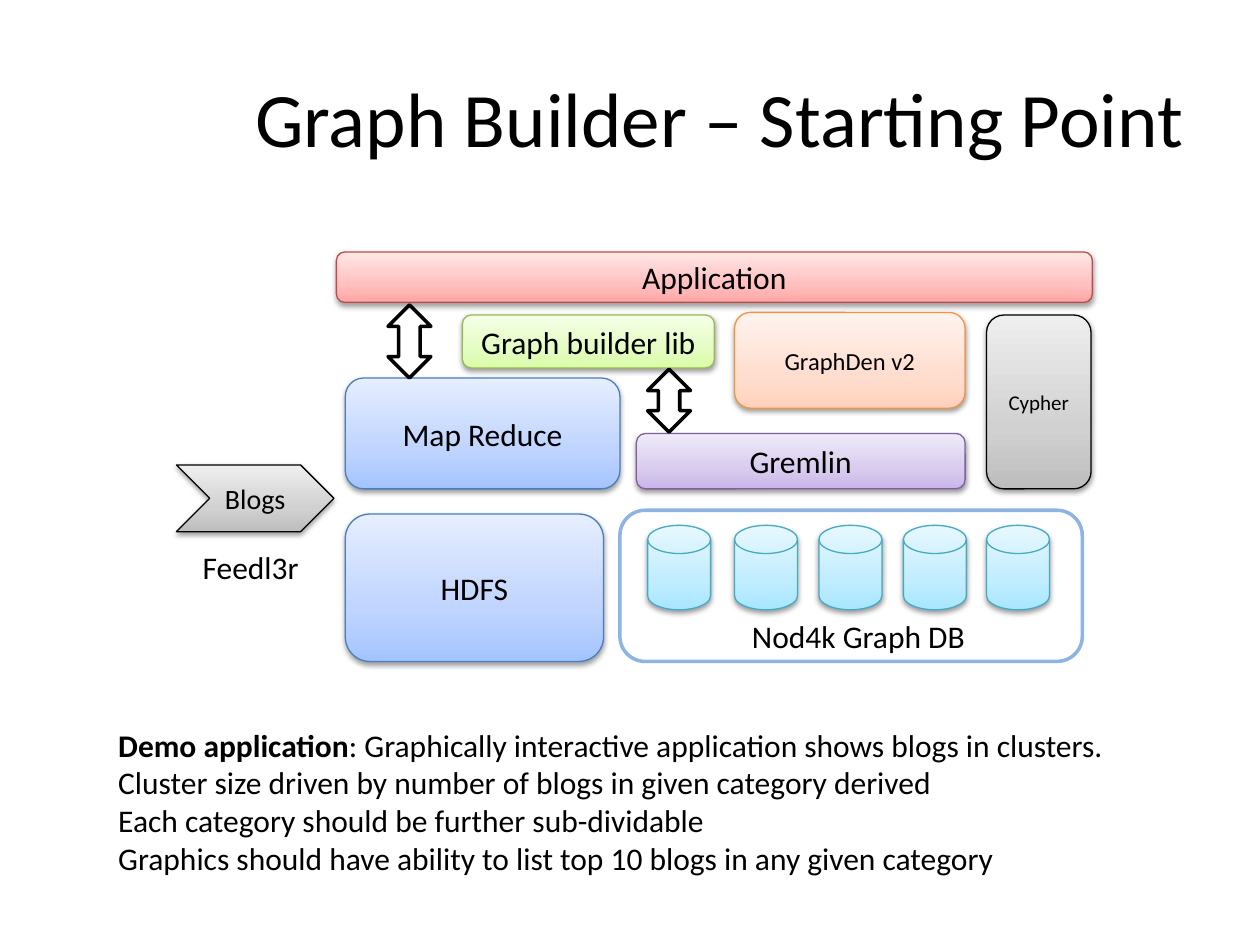
from lxml.etree import SubElement
from pptx import Presentation
from pptx.dml.color import RGBColor
from pptx.enum.shapes import MSO_SHAPE as SHAPE
from pptx.enum.text import MSO_ANCHOR as ANCHOR, MSO_AUTO_SIZE as AUTO, PP_ALIGN as ALIGN
from pptx.oxml.ns import qn
from pptx.util import Inches, Pt

FONT = "Calibri"
BLACK = "000000"
TITLE = "Graph Builder – Starting Point"

STYLES = {
    "blue": ("4B7EBC", ["A4C4FF", "BFD4FF", "E6EEFF"]),
    "gray": ("000000", ["BDBDBD", "D1D1D1", "EEEEEE"]),
    "green": ("98B955", ["DAFDA7", "E4FCC2", "F5FFE7"]),
    "aqua": ("46AAC5", ["A7E6FF", "C1EDFF", "E7F8FF"]),
    "purple": ("7D60A0", ["C9B5E8", "D8CBEE", "F0EAF9"]),
    "orange": ("F69240", ["FFD2BD", "FFDED0", "FFF2ED"]),
    "red": ("BF4C48", ["FFA6A5", "FFC0BF", "FFE7E7"]),
}
STOPS = (0, 35, 100)

BLOCKS = [
    ("Map Reduce", 18, SHAPE.ROUNDED_RECTANGLE, "blue", (2.74, 3, 2.18, 0.88)),
    ("Blogs", 16, SHAPE.CHEVRON, "gray", (1.4, 3.69, 1.25, 0.53)),
    ("Graph builder lib", 18, SHAPE.ROUNDED_RECTANGLE, "green", (3.67, 2.5, 2, 0.42)),
    ("Gremlin", 18, SHAPE.ROUNDED_RECTANGLE, "purple", (5.05, 3.44, 2.61, 0.44)),
    ("HDFS", 18, SHAPE.ROUNDED_RECTANGLE, "blue", (2.74, 4.08, 2.05, 1.17)),
    ("GraphDen v2", 14, SHAPE.ROUNDED_RECTANGLE, "orange", (5.83, 2.48, 1.83, 0.76)),
    ("Cypher", 12, SHAPE.ROUNDED_RECTANGLE, "gray", (7.83, 2.5, 0.83, 1.38)),
    ("Application", 18, SHAPE.ROUNDED_RECTANGLE, "red", (2.67, 2, 6, 0.4)),
]
DISK_LEFTS = (5.14, 5.83, 6.5, 7.17, 7.83)
OUTLINES = [
    (SHAPE.ROUNDED_RECTANGLE, "8EB4E3", (4.92, 4.05, 3.67, 1.2)),
    (SHAPE.UP_DOWN_ARROW, BLACK, (5.14, 2.93, 0.34, 0.5)),
    (SHAPE.UP_DOWN_ARROW, BLACK, (3.08, 2.42, 0.34, 0.58)),
]
LABELS = [
    ([[("Nod4k Graph DB", False)]], (5.87, 4.85, 2.1, 0.4)),
    ([[("Feedl3r", False)]], (1.51, 4.3, 0.99, 0.4)),
    ([
        [("Demo application", True),
         (": Graphically interactive application shows blogs in clusters.", False)],
        [("Cluster size driven by number of blogs in given category derived", False)],
        [("Each category should be further sub-dividable", False)],
        [("Graphics should have ability to list top 10 blogs in any given category", False)],
    ], (0.84, 5.71, 8.16, 1.31)),
]


def rgb(color):
    return RGBColor.from_string(color)


def inches(box):
    return [Inches(v) for v in box]


def add_run(p, text, size, bold=False):
    r = p.add_run()
    r.text = text
    r.font.name, r.font.size, r.font.bold = FONT, Pt(size), bold
    r.font.color.rgb = rgb(BLACK)


def add_outline(s, kind, color, box, width=2):
    sp = s.shapes.add_shape(kind, *inches(box))
    sp.shadow.inherit = False
    sp.fill.background()
    sp.line.color.rgb = rgb(color)
    sp.line.width = Pt(width)
    return sp


def add_color(parent, color):
    return SubElement(parent, qn("a:srgbClr"), val=color)


def add_block(s, kind, style, box):
    line, colors = STYLES[style]
    sp = add_outline(s, kind, line, box, 0.75)
    sp.fill.gradient()
    sp.fill.gradient_angle = 90
    spPr = sp.element.spPr
    stops = spPr.find(qn("a:gradFill")).find(qn("a:gsLst"))
    for gs in list(stops):
        stops.remove(gs)
    for pos, color in zip(STOPS, colors):
        add_color(SubElement(stops, qn("a:gs"), pos=str(pos * 1000)), color)
    shadow = SubElement(spPr.find(qn("a:effectLst")), qn("a:outerShdw"),
                        blurRad=str(Pt(3.1)), dist=str(Pt(1.6)), dir="5400000", rotWithShape="0")
    SubElement(add_color(shadow, BLACK), qn("a:alpha"), val="38000")
    return sp


def add_label(s, paragraphs, box):
    tf = s.shapes.add_textbox(*inches(box)).text_frame
    tf.word_wrap = True
    tf.auto_size = AUTO.SHAPE_TO_FIT_TEXT
    for i, runs in enumerate(paragraphs):
        p = tf.add_paragraph() if i else tf.paragraphs[0]
        for text, bold in runs:
            add_run(p, text, 18, bold)


def main():
    prs = Presentation()
    prs.slide_width, prs.slide_height = Inches(10), Inches(7.5)
    s = prs.slides.add_slide(prs.slide_layouts[5])

    title = s.shapes.title
    title.left, title.top, title.width, title.height = inches((0.5, 0.3, 9, 1.25))
    title.text_frame.vertical_anchor = ANCHOR.MIDDLE
    p = title.text_frame.paragraphs[0]
    p.alignment = ALIGN.RIGHT
    add_run(p, TITLE, 44)

    for text, size, kind, style, box in BLOCKS:
        tf = add_block(s, kind, style, box).text_frame
        tf.vertical_anchor = ANCHOR.MIDDLE
        p = tf.paragraphs[0]
        p.alignment = ALIGN.CENTER
        add_run(p, text, size)
    for left in DISK_LEFTS:
        add_block(s, SHAPE.FLOWCHART_MAGNETIC_DISK, "aqua", (left, 4.17, 0.5, 0.67))
    for kind, color, box in OUTLINES:
        add_outline(s, kind, color, box)
    for paragraphs, box in LABELS:
        add_label(s, paragraphs, box)

    prs.save("out.pptx")


if __name__ == "__main__":
    main()
